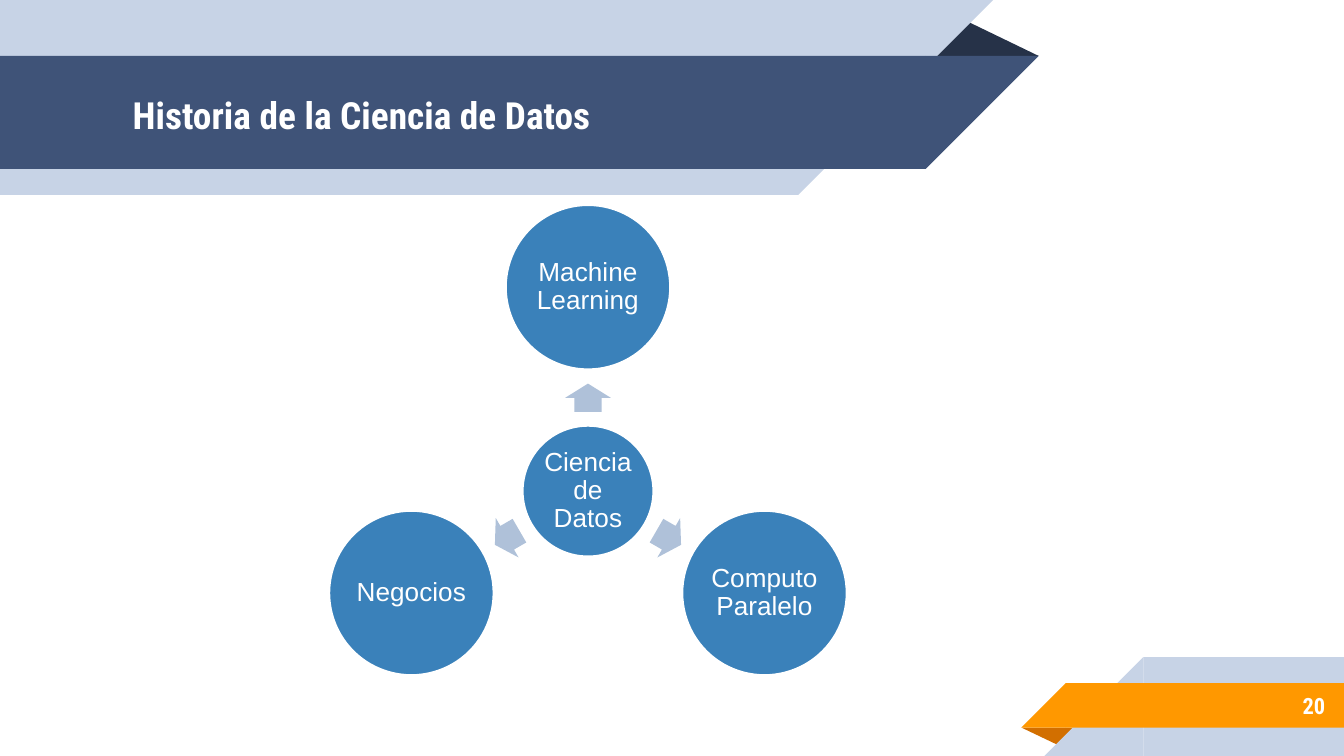
import math
from dataclasses import dataclass

from lxml import etree
from pptx import Presentation
from pptx.dml.color import RGBColor
from pptx.enum import shapes, text
from pptx.util import Pt


@dataclass(frozen=True)
class Theme:
    white: str = "FFFFFF"
    pale: str = "C7D3E6"
    navy: str = "3F5378"
    navy_fold: str = "263248"
    orange: str = "FF9800"
    orange_fold: str = "D26F00"
    circle: str = "3A81BA"
    arrow: str = "AFC1D9"
    heading_font: str = "Roboto Condensed"
    body_font: str = "Arial"
    title_size: int = 20
    number_size: int = 12
    body_size: int = 14


THEME = Theme()
PRESET = shapes.MSO_SHAPE
ALIGN = text.PP_ALIGN


def add_preset(slide, preset, box, color, rotation=0, adjustments=()):
    shape = slide.shapes.add_shape(preset, *map(Pt, box))
    shape.shadow.inherit = False
    shape.fill.solid()
    shape.fill.fore_color.rgb = RGBColor.from_string(color)
    shape.line.fill.background()
    shape.rotation = rotation
    for index, value in enumerate(adjustments):
        shape.adjustments[index] = value
    return shape


def write(shape, words, font, size, align, inset, bold=False):
    frame = shape.text_frame
    frame.text = words
    frame.word_wrap = True
    frame.vertical_anchor = text.MSO_ANCHOR.MIDDLE
    frame.margin_left = frame.margin_right = Pt(inset)
    frame.margin_top = frame.margin_bottom = Pt(inset)
    paragraph = frame.paragraphs[0]
    paragraph.alignment = align
    run_font = paragraph.runs[0].font
    run_font.name, run_font.size, run_font.bold = font, Pt(size), bold
    run_font.color.rgb = RGBColor.from_string(THEME.white)
    return paragraph


def add_ribbon(slide, box, color, slant_left=False):
    """Fill the box with a band whose one end is cut at 45 degrees."""
    left, top, width, height = box
    body = width - height
    body_left, tip_left, turn = (
        (left + height, left, 270) if slant_left else (left, left + body, 90))
    add_preset(slide, PRESET.RECTANGLE, (body_left, top, body, height), color)
    add_preset(slide, PRESET.RIGHT_TRIANGLE, (tip_left, top, height, height),
               color, turn)


def add_heading(slide, box, title):
    left, top, width, height = box
    band_top, band_height = top + 30, 60.5
    add_preset(slide, PRESET.ISOSCELES_TRIANGLE,
               (left + width - 61.2, band_top - 20, 61.2, 20),
               THEME.navy_fold, adjustments=[0.324])
    add_ribbon(slide, (left, top, width - 24.5, height), THEME.pale)
    add_ribbon(slide, (left, band_top, width, band_height), THEME.navy)
    label = slide.shapes.add_textbox(
        Pt(left + 64), Pt(band_top + 1), Pt(433), Pt(band_height))
    write(label, title, THEME.heading_font, THEME.title_size,
          ALIGN.LEFT, 7.2, bold=True)


def add_page_number(slide, box, number):
    left, top, width, height = box
    band_top, band_height = top + 14, 23.8
    add_preset(slide, PRESET.ISOSCELES_TRIANGLE,
               (left, band_top + band_height, 31, 10),
               THEME.orange_fold, 180, [0.324])
    add_ribbon(slide, (left + 12.3, top, width - 12.3, height), THEME.pale, True)
    add_ribbon(slide, (left, band_top, width, band_height), THEME.orange, True)
    label = slide.shapes.add_textbox(
        Pt(left + width - 120), Pt(band_top - 0.7), Pt(117), Pt(25))
    write(label, number, THEME.heading_font, THEME.number_size,
          ALIGN.RIGHT, 7.2, bold=True)


def add_circle(slide, center, diameter, words):
    x, y = center
    circle = add_preset(
        slide, PRESET.OVAL,
        (x - diameter / 2, y - diameter / 2, diameter, diameter), THEME.circle)
    circle.line.color.rgb = RGBColor.from_string(THEME.white)
    circle.line.width = Pt(2)
    paragraph = write(circle, words, THEME.body_font, THEME.body_size,
                      ALIGN.CENTER, 1.4)
    paragraph.line_spacing = 0.9


def add_radial_diagram(slide, box, hub, topics):
    """Place topics clockwise from the top, each pointed at from the hub."""
    left, top, width, _ = box
    topic_size, hub_size, orbit, arrow_orbit = 89, 71, 109.2, 50
    arrow_length, arrow_width = 15.2, 24.4
    center_x, center_y = left + width / 2, top + topic_size / 2 + orbit

    def on_orbit(radius, degrees):
        angle = math.radians(degrees)
        return (center_x + radius * math.cos(angle),
                center_y + radius * math.sin(angle))

    add_circle(slide, (center_x, center_y), hub_size, hub)
    for index, topic in enumerate(topics):
        degrees = -90 + index * 360 / len(topics)
        x, y = on_orbit(arrow_orbit, degrees)
        add_preset(slide, PRESET.RIGHT_ARROW,
                   (x - arrow_length / 2, y - arrow_width / 2,
                    arrow_length, arrow_width),
                   THEME.arrow, degrees % 360, [0.6, 0.5])
        add_circle(slide, on_orbit(orbit, degrees), topic_size, topic)


def main():
    deck = Presentation()
    deck.slide_width, deck.slide_height = Pt(720), Pt(405)
    slide = deck.slides.add_slide(deck.slide_layouts[6])
    add_heading(slide, (0, 0, 556.5, 104.4), "Historia de la Ciencia de Datos")
    add_page_number(slide, (547.2, 352, 172.8, 53), "20")
    add_radial_diagram(slide, (175.7, 109.4, 278.6, 253), "Ciencia de Datos",
                       ["Machine Learning", "Computo Paralelo", "Negocios"])
    deck.save("out.pptx")


if __name__ == "__main__":
    main()
